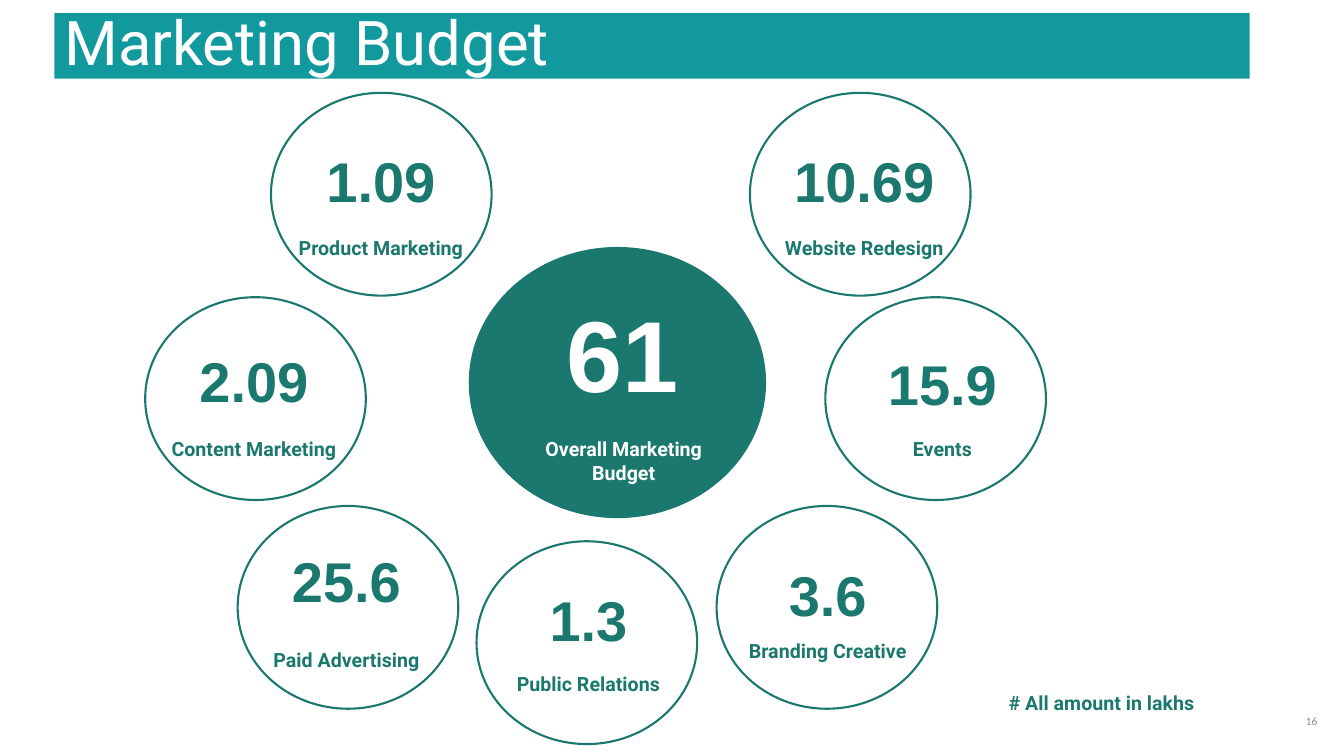
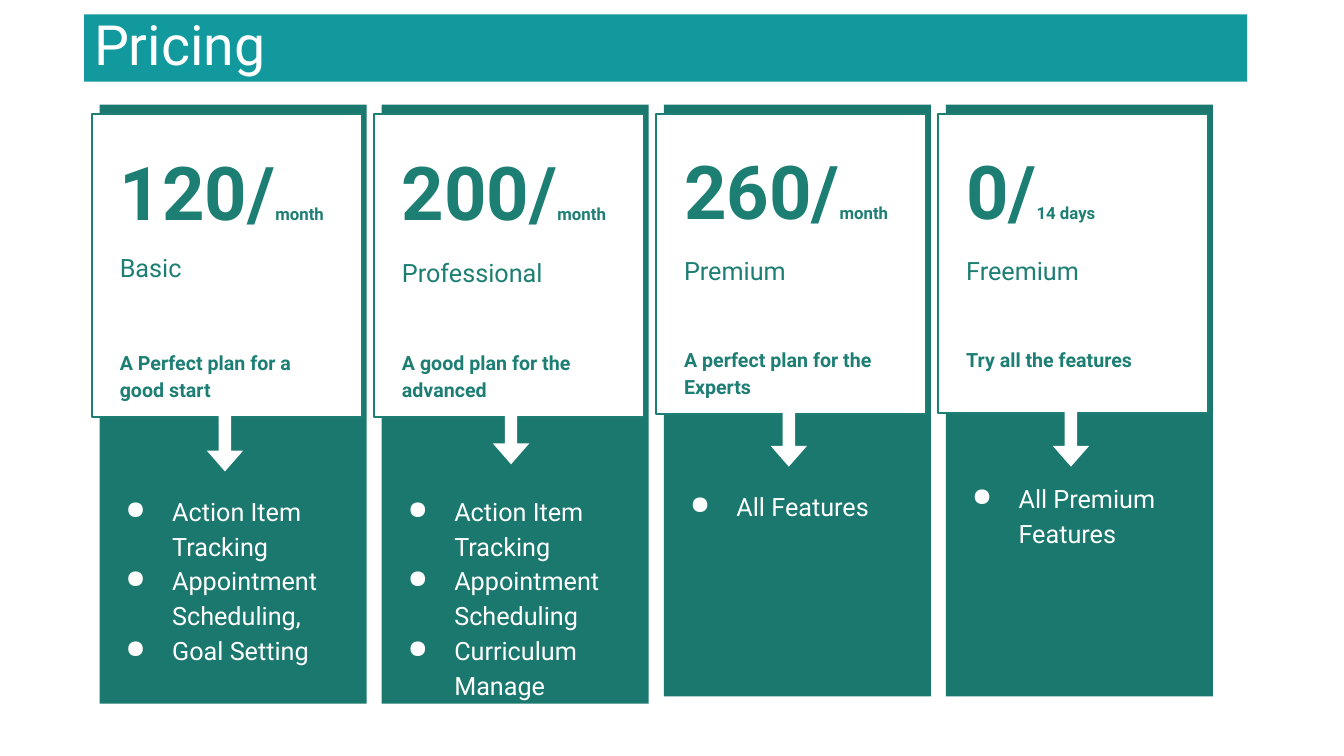
from lxml import etree
from pptx import Presentation
from pptx.dml.color import RGBColor
from pptx.enum import shapes, text
from pptx.oxml import ns
from pptx.util import Cm, Pt

# Shared style
BAND, DARK, GREEN, WHITE, GREY = "11999E", "1B786E", "1D7E74", "FFFFFF", "888888"
BODY_FONT, NUMBER_FONT = "Roboto", "Arial"
LEFT, CENTER, RIGHT = text.PP_ALIGN.LEFT, text.PP_ALIGN.CENTER, text.PP_ALIGN.RIGHT
OVAL, RECTANGLE = shapes.MSO_SHAPE.OVAL, shapes.MSO_SHAPE.RECTANGLE

# Budget content: amount, label, circle left and top, text centre, amount top, label top (cm)
BUDGET = [
    ("1.09", "Product Marketing", 6.83, 2.34, 9.6, 3.56, 5.69),
    ("10.69", "Website Redesign", 18.9, 2.34, 21.78, 3.56, 5.69),
    ("2.09", "Content Marketing", 3.66, 7.49, 6.4, 8.61, 10.77),
    ("15.9", "Events", 20.8, 7.49, 23.75, 8.69, 10.77),
    ("25.6", "Paid Advertising", 5.99, 12.75, 8.73, 13.64, 16.08),
    ("1.3", "Public Relations", 12.01, 13.64, 14.83, 14.63, 16.69),
    ("3.6", "Branding Creative", 18.06, 12.75, 20.86, 14, 15.85),
]

# Pricing content; tops and heights in cm
PLANS = [
    dict(price="120/", period="month", name="Basic",
         pitch="A Perfect plan for a good start",
         features=["Action Item Tracking", "Appointment Scheduling,", "Goal Setting"],
         panel=15.09, card=7.65, price_top=3.35, name_top=6.02, pitch_top=8.43,
         arrow=(3.16, 10.43), features_top=12.06),
    dict(price="200/", period="month", name="Professional",
         pitch="A good plan for the advanced",
         features=["Action Item Tracking", "Appointment Scheduling", "Curriculum Manage"],
         panel=15.09, card=7.65, price_top=3.35, name_top=6.15, pitch_top=8.43,
         arrow=(3.26, 10.25), features_top=12.06),
    dict(price="260/", period="month", name="Premium",
         pitch="A perfect plan for the Experts", features=["All Features"],
         panel=14.91, card=7.57, price_top=3.33, name_top=6.1, pitch_top=8.36,
         arrow=(3.15, 10.31), features_top=11.94),
    dict(price="0/", period="14 days", name="Freemium",
         pitch="Try all the features", features=["All Premium Features"],
         panel=14.91, card=7.54, price_top=3.33, name_top=6.1, pitch_top=8.36,
         arrow=(3.15, 10.31), features_top=11.73),
]
FIRST_PANEL, PANEL_STEP = 2.51, 7.11


def color(value):
    return RGBColor.from_string(value)


def add_span(para, words, size, ink, bold=False, font=BODY_FONT):
    span = para.add_run()
    span.text = words
    span.font.name, span.font.size, span.font.bold = font, Pt(size), bold
    span.font.color.rgb = color(ink)


def set_frame(frame, inset_x, inset_y, anchor):
    frame.word_wrap = True
    frame.auto_size = text.MSO_AUTO_SIZE.NONE
    frame.vertical_anchor = anchor
    frame.margin_left = frame.margin_right = Cm(inset_x)
    frame.margin_top = frame.margin_bottom = Cm(inset_y)


def add_text(page, place, align=LEFT, inset=(0.25, 0.13), anchor=text.MSO_ANCHOR.TOP):
    """Add an empty text box and return its first paragraph and its frame."""
    box = page.shapes.add_textbox(*map(Cm, place))
    set_frame(box.text_frame, *inset, anchor)
    para = box.text_frame.paragraphs[0]
    para.alignment = align
    return para, box.text_frame


def add_centered(page, words, center, top, width, height, size, ink, **style):
    inset = (0.25, 0.13) if "font" in style else (0.25, 0.25)
    para, _ = add_text(page, (center - width / 2, top, width, height), CENTER, inset)
    add_span(para, words, size, ink, True, **style)


def add_figure(page, kind, place, fill=None, line=None):
    figure = page.shapes.add_shape(kind, *map(Cm, place))
    figure.shadow.inherit = False
    if fill:
        figure.fill.solid()
        figure.fill.fore_color.rgb = color(fill)
    else:
        figure.fill.background()
    if line:
        figure.line.color.rgb = color(line)
        figure.line.width = Pt(1.5)
    else:
        figure.line.fill.background()
    return figure


def add_page(deck, heading, place, size):
    """Add a slide whose title is a coloured band."""
    page = deck.slides.add_slide(deck.slide_layouts[5])
    title = page.shapes.title
    title.left, title.top, title.width, title.height = map(Cm, place)
    title.fill.solid()
    title.fill.fore_color.rgb = color(BAND)
    set_frame(title.text_frame, 0.25, 0.13, text.MSO_ANCHOR.MIDDLE)
    para = title.text_frame.paragraphs[0]
    para.alignment, para.line_spacing = LEFT, 0.9
    add_span(para, heading, size, WHITE)
    return page


def add_bullet(para):
    properties = para._p.get_or_add_pPr()
    properties.set("marL", str(Cm(1.7)))
    properties.set("indent", str(Cm(-1.17)))
    tint = etree.SubElement(properties, ns.qn("a:buClr"))
    etree.SubElement(tint, ns.qn("a:srgbClr")).set("val", WHITE)
    etree.SubElement(properties, ns.qn("a:buChar")).set("char", "●")


def build_budget(deck):
    page = add_page(deck, "Marketing Budget", (1.37, 0.33, 30.12, 1.65), 44)

    # Total in the middle
    add_figure(page, OVAL, (11.84, 6.25, 7.44, 6.78), DARK, DARK)
    add_centered(page, "61", 15.68, 7.21, 5.21, 3.71, 72, WHITE, font=NUMBER_FONT)
    add_centered(page, "Overall Marketing Budget", 15.72, 10.77, 4.67, 1.7, 14, WHITE)

    # Circles around it
    for amount, label, left, top, center, amount_top, label_top in BUDGET:
        add_figure(page, OVAL, (left, top, 5.56, 5.11), line=DARK)
        add_centered(page, amount, center, amount_top, 4.34, 1.93, 40, DARK, font=NUMBER_FONT)
        add_centered(page, label, center, label_top, 5.08, 1.12, 14, DARK)

    # Unit note and page number
    para, _ = add_text(page, (25.17, 17.17, 5.56, 1.12), inset=(0.25, 0.25))
    add_span(para, "# All amount in lakhs", 14, DARK, True)
    para, _ = add_text(page, (32.18, 17.65, 1.27, 1.02), RIGHT, anchor=text.MSO_ANCHOR.MIDDLE)
    add_span(para, "16", 8, GREY, font="Calibri")


def add_plan(page, plan, left):
    # Panel, card and arrow
    add_figure(page, RECTANGLE, (left, 2.64, 6.73, plan["panel"]), DARK)
    add_figure(page, RECTANGLE, (left - 0.2, 2.87, 6.81, plan["card"]), WHITE, GREEN)
    center, arrow_top = plan["arrow"]
    arrow = add_figure(page, shapes.MSO_SHAPE.DOWN_ARROW,
                       (left + center - 0.46, arrow_top, 0.92, 1.45), WHITE)
    arrow.adjustments[0], arrow.adjustments[1] = 0.34, 0.57

    # Price, name and pitch
    inset = (0.33, 0.33)
    text_left, text_width = left + 0.18, 6.02
    para, _ = add_text(page, (text_left, plan["price_top"], text_width, 2.49), inset=inset)
    add_span(para, plan["price"], 53, GREEN, True)
    add_span(para, plan["period"], 12, GREEN, True)
    para, _ = add_text(page, (text_left, plan["name_top"], text_width, 2.25), inset=inset)
    add_span(para, plan["name"], 18, GREEN)
    para, _ = add_text(page, (text_left, plan["pitch_top"], text_width, 1.25), inset=inset)
    para.line_spacing = 1.15
    add_span(para, plan["pitch"], 14, GREEN, True)

    # Feature list
    para, frame = add_text(page, (left - 0.2, plan["features_top"], 6.73, 4), inset=inset)
    for index, feature in enumerate(plan["features"]):
        if index:
            para = frame.add_paragraph()
        add_bullet(para)
        para.line_spacing = 1.15
        add_span(para, feature, 18, WHITE)


def build_pricing(deck):
    page = add_page(deck, "Pricing", (2.12, 0.36, 29.31, 1.7), 39.6)
    for index, plan in enumerate(PLANS):
        add_plan(page, plan, FIRST_PANEL + index * PANEL_STEP)


def main():
    deck = Presentation()
    deck.slide_width, deck.slide_height = Cm(33.87), Cm(19.05)
    build_budget(deck)
    build_pricing(deck)
    deck.save("out.pptx")


if __name__ == "__main__":
    main()
